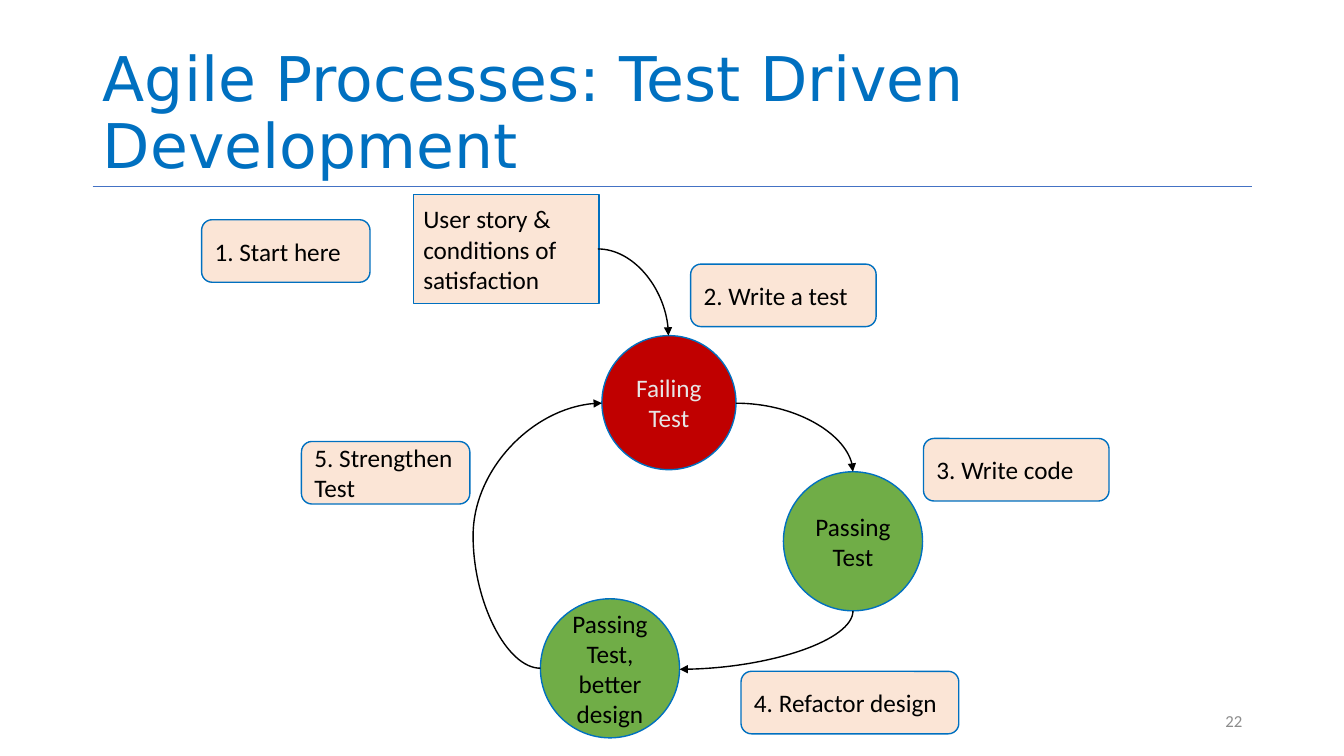
from pptx import Presentation
from pptx.dml.color import RGBColor
from pptx.enum.shapes import MSO_CONNECTOR, MSO_SHAPE
from pptx.enum.text import MSO_ANCHOR, MSO_AUTO_SIZE, PP_ALIGN
from pptx.oxml.ns import qn
from pptx.util import Pt
from lxml import etree

PX = 9144  # 100 px to the inch
RECTANGLE, ROUNDED, OVAL = MSO_SHAPE.RECTANGLE, MSO_SHAPE.ROUNDED_RECTANGLE, MSO_SHAPE.OVAL
STRAIGHT, CURVE = MSO_CONNECTOR.STRAIGHT, MSO_CONNECTOR.CURVE
LEFT, CENTER, RIGHT = PP_ALIGN.LEFT, PP_ALIGN.CENTER, PP_ALIGN.RIGHT
MIDDLE, BOTTOM = MSO_ANCHOR.MIDDLE, MSO_ANCHOR.BOTTOM
BLUE, PEACH, RED, GREEN = "0070C0", "FBE5D6", "C00000", "70AD47"
BLACK, LIGHT, GRAY, RULE = "000000", "E7E6E6", "8C8C8C", "4472C4"


def write(shape, text, size, color, align, anchor=MIDDLE, font="Calibri"):
    frame = shape.text_frame
    frame.text = text
    frame.word_wrap = True
    frame.auto_size = MSO_AUTO_SIZE.NONE
    frame.vertical_anchor = anchor
    paragraph = frame.paragraphs[0]
    paragraph.alignment = align
    paragraph.font.name = font
    paragraph.font.size = Pt(size)
    paragraph.font.color.rgb = RGBColor.from_string(color)


def add_line(kind, ends, color, width):
    connector = slide.shapes.add_connector(kind, *(v * PX for v in ends))
    connector.line.color.rgb = RGBColor.from_string(color)
    connector.line.width = Pt(width)
    etree.SubElement(connector._element.spPr, qn("a:effectLst"))
    return connector


presentation = Presentation()
presentation.slide_width = 1333 * PX
presentation.slide_height = 750 * PX
slide = presentation.slides.add_slide(presentation.slide_layouts[5])

add_line(STRAIGHT, (92, 185, 1242, 185), RULE, 0.5)

title = slide.shapes.title
title.left, title.top, title.width, title.height = (v * PX for v in (92, 40, 1150, 145))
write(title, "Agile Processes: Test Driven Development", 44, BLUE, LEFT, BOTTOM, "DejaVu Sans")
title.text_frame.paragraphs[0].line_spacing = 0.9

page_number = slide.shapes.add_textbox(*(v * PX for v in (942, 695, 300, 40)))
write(page_number, "22", 12, GRAY, RIGHT)

# kind, left, top, width, height, fill, text colour, alignment, text
boxes = [
    (RECTANGLE, 410, 193, 184, 108, PEACH, BLACK, LEFT, "User story & conditions of satisfaction"),
    (ROUNDED, 200, 218, 167, 62, PEACH, BLACK, LEFT, "1. Start here"),
    (ROUNDED, 685, 262, 184, 62, PEACH, BLACK, LEFT, "2. Write a test"),
    (ROUNDED, 916, 435, 184, 62, PEACH, BLACK, LEFT, "3. Write code"),
    (ROUNDED, 735, 666, 216, 62, PEACH, BLACK, LEFT, "4. Refactor design"),
    (ROUNDED, 299, 438, 167, 62, PEACH, BLACK, LEFT, "5. Strengthen Test"),
    (OVAL, 597, 333, 133, 133, RED, LIGHT, CENTER, "Failing Test"),
    (OVAL, 777, 468, 138, 138, GREEN, BLACK, CENTER, "Passing Test"),
    (OVAL, 536, 594, 138, 138, GREEN, BLACK, CENTER, "Passing Test, better design"),
]
for kind, left, top, width, height, fill, color, align, text in boxes:
    shape = slide.shapes.add_shape(kind, left * PX, top * PX, width * PX, height * PX)
    shape.shadow.inherit = False
    shape.fill.solid()
    shape.fill.fore_color.rgb = RGBColor.from_string(fill)
    shape.line.color.rgb = RGBColor.from_string(BLUE)
    shape.line.width = Pt(1)
    write(shape, text, 18, color, align)

# ends before rotation, rotation, preset, bend position in 1/100000 of the width
arrows = [
    ((593, 247, 663, 333), 0, "curvedConnector2", None),
    ((731, 549, 789, 721), 90, "curvedConnector2", None),
    ((730, 400, 846, 468), 0, "curvedConnector2", None),
    ((536, 663, 597, 400), 0, "curvedConnector3", -109500),
]
for ends, rotation, preset, bend in arrows:
    arrow = add_line(CURVE, ends, BLACK, 1)
    arrow.rotation = rotation
    geometry = arrow._element.spPr.find(qn("a:prstGeom"))
    geometry.set("prst", preset)
    if bend is not None:
        adjustments = geometry.find(qn("a:avLst"))
        etree.SubElement(adjustments, qn("a:gd"), name="adj1", fmla=f"val {bend}")
    etree.SubElement(arrow.line._get_or_add_ln(), qn("a:tailEnd"), type="triangle")

presentation.save("out.pptx")
